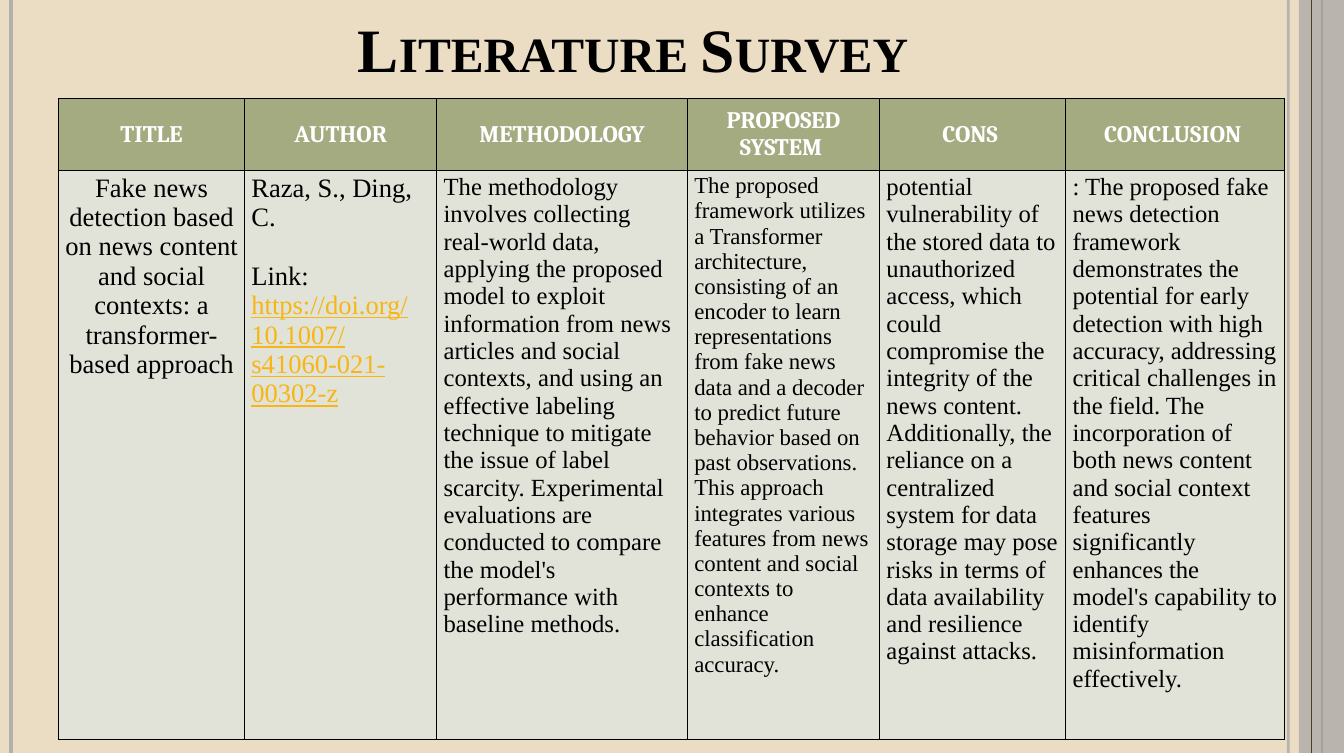
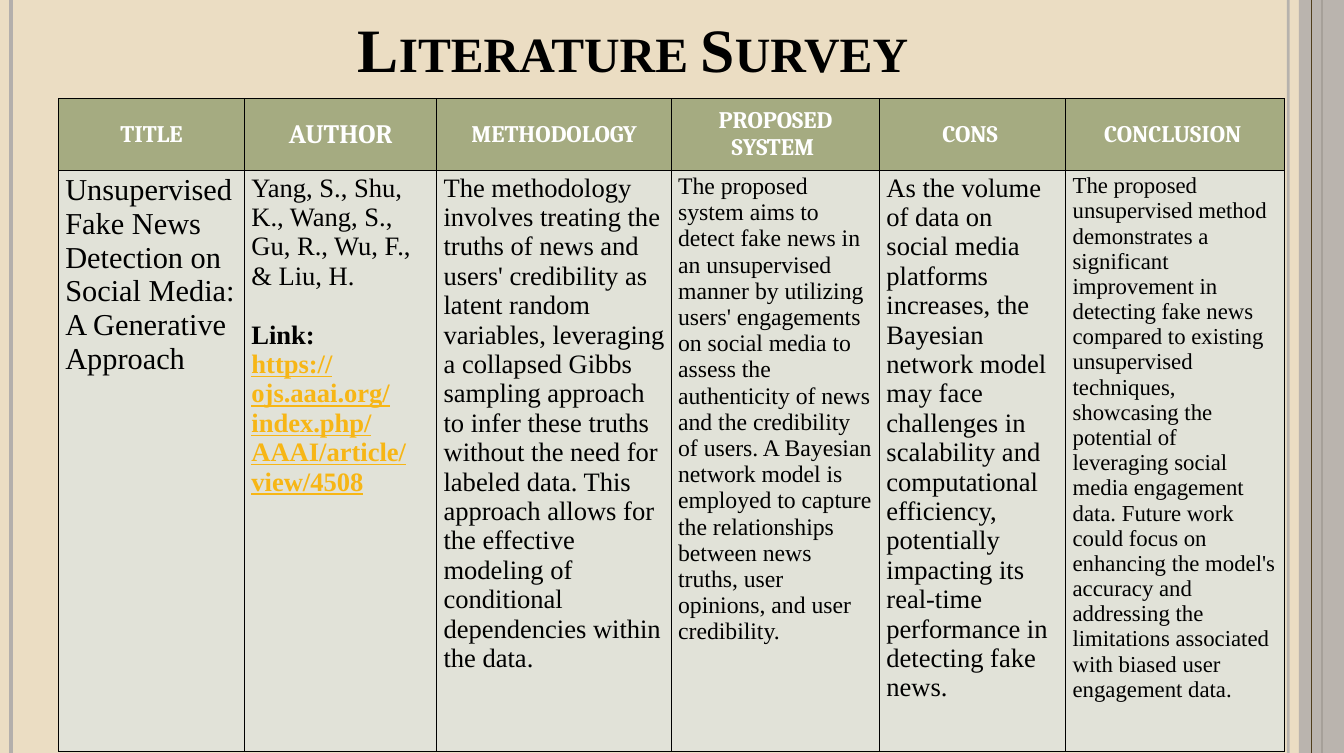
from lxml import etree
from pptx import Presentation
from pptx import util as u
from pptx.dml.color import RGBColor
from pptx.enum import shapes, text
from pptx.oxml import parse_xml
from pptx.oxml.ns import nsdecls, qn

PX = 9000  # a quarter of a millimetre, so the slide is 50 by 28 cm
WIDTH, HEIGHT = 2000, 1120

SAND, GREY, BROWN = "EBDDC3", "B3AFAC", "503D1A"
OLIVE, PALE = "A5AB81", "E1E2D8"
BLACK, WHITE, GOLD = "000000", "FFFFFF", "F7B615"
SERIF, HEADING = "Times New Roman", "Cambria"

HEADERS = ["TITLE", "AUTHOR", "METHODOLOGY", "PROPOSED SYSTEM ", "CONS ", "CONCLUSION "]
ROW_HEIGHTS = [106, 733]

# (x, colour, width in points, opacity in percent)
LEFT_LINES = [(1917, GREY, 3, 93), (16, GREY, 4.5, 100), (1967, BROWN, 1.5, 100)]
BAND_LINE = (1951, BROWN, 0.75, 100)
BAND_LEFT = 1933

LINK = dict(color=GOLD, underline=True)
AFTER_GAP = dict(before=31)

# Each body cell is a list of (text, format) paragraphs.
SURVEYS = [
    dict(
        widths=[277, 286, 373, 286, 277, 326],
        height=908,
        header_sizes=[25] * 6,
        cells=[
            [("Fake news detection based on news content and social contexts: "
              "a transformer-based approach", dict(size=28, align="CENTER"))],
            [("Raza, S., Ding, C.", dict(size=28)),
             ("Link:", dict(size=28, **AFTER_GAP)),
             ("https://doi.org/10.1007/s41060-021-00302-z", dict(size=28, **LINK))],
            [("The methodology involves collecting real-world data, applying the "
              "proposed model to exploit information from news articles and social "
              "contexts, and using an effective labeling technique to mitigate the "
              "issue of label scarcity. Experimental evaluations are conducted to "
              "compare the model's performance with baseline methods.", dict(size=26))],
            [("The proposed framework utilizes a Transformer architecture, consisting "
              "of an encoder to learn representations from fake news data and a decoder "
              "to predict future behavior based on past observations. This approach "
              "integrates various features from news content and social contexts to "
              "enhance classification accuracy.", dict(size=24))],
            [("potential vulnerability of the stored data to unauthorized access, which "
              "could compromise the integrity of the news content. Additionally, the "
              "reliance on a centralized system for data storage may pose risks in terms "
              "of data availability and resilience against attacks.", dict(size=26))],
            [(": The proposed fake news detection framework demonstrates the potential "
              "for early detection with high accuracy, addressing critical challenges in "
              "the field. The incorporation of both news content and social context "
              "features significantly enhances the model's capability to identify "
              "misinformation effectively.", dict(size=26))],
        ],
    ),
    dict(
        widths=[277, 286, 349, 310, 277, 326],
        height=922,
        header_sizes=[25, 28, 25, 25, 25, 25],
        cells=[
            [("Unsupervised Fake News Detection on Social Media: A Generative Approach",
              dict(size=32))],
            [("Yang, S., Shu, K., Wang, S., Gu, R., Wu, F., & Liu, H.", dict(size=28)),
             ("Link:", dict(size=28, bold=True, **AFTER_GAP)),
             ("https://ojs.aaai.org/index.php/AAAI/article/view/4508",
              dict(size=28, bold=True, **LINK))],
            [("The methodology involves treating the truths of news and users' "
              "credibility as latent random variables, leveraging a collapsed Gibbs "
              "sampling approach to infer these truths without the need for labeled "
              "data. This approach allows for the effective modeling of conditional "
              "dependencies within the data.", dict(size=28))],
            [("The proposed system aims to detect fake news in an unsupervised manner by "
              "utilizing users' engagements on social media to assess the authenticity "
              "of news and the credibility of users. A Bayesian network model is "
              "employed to capture the relationships between news truths, user "
              "opinions, and user credibility.", dict(size=25))],
            [("As the volume of data on social media platforms increases, the Bayesian "
              "network model may face challenges in scalability and computational "
              "efficiency, potentially impacting its real-time performance in detecting "
              "fake news.", dict(size=28))],
            [("The proposed unsupervised method demonstrates a significant improvement "
              "in detecting fake news compared to existing unsupervised techniques, "
              "showcasing the potential of leveraging social media engagement data. "
              "Future work could focus on enhancing the model's accuracy and addressing "
              "the limitations associated with biased user engagement data.",
              dict(size=24))],
        ],
    ),
]


def px(length):
    return u.Emu(length * PX)


def rgb(color):
    return RGBColor.from_string(color)


def set_opacity(shape, percent):
    for color in shape._element.spPr.iter(qn("a:srgbClr")):
        etree.SubElement(color, qn("a:alpha")).set("val", str(percent * 1000))


def write(paragraph, words, size, font=SERIF, color=BLACK, bold=False,
          underline=False, align="LEFT", before=0, small_caps=False):
    paragraph.alignment = text.PP_ALIGN[align]
    if before:
        paragraph.space_before = u.Pt(before)
    run = paragraph.add_run()
    run.text = words
    run.font.name = font
    run.font.size = u.Pt(size)
    run.font.bold = bold
    run.font.underline = underline
    run.font.color.rgb = rgb(color)
    if small_caps:
        run._r.get_or_add_rPr().set("cap", "small")


def add_vertical_line(slide, x, color, width, opacity):
    line = slide.shapes.add_connector(shapes.MSO_CONNECTOR.STRAIGHT,
                                      px(x), 0, px(x), px(HEIGHT))
    line.line.color.rgb = rgb(color)
    line.line.width = u.Pt(width)
    etree.SubElement(line._element.spPr, qn("a:effectLst"))
    if opacity < 100:
        set_opacity(line, opacity)


def add_backdrop(slide):
    """Sand background, vertical lines and the grey band on the right."""
    slide.background.fill.solid()
    slide.background.fill.fore_color.rgb = rgb(SAND)

    for line in LEFT_LINES:
        add_vertical_line(slide, *line)

    band = slide.shapes.add_shape(shapes.MSO_SHAPE.RECTANGLE, px(BAND_LEFT), 0,
                                  px(WIDTH - BAND_LEFT), px(HEIGHT))
    band.shadow.inherit = False
    band.fill.solid()
    band.fill.fore_color.rgb = rgb(GREY)
    band.line.fill.background()
    set_opacity(band, 87)
    add_vertical_line(slide, *BAND_LINE)


def add_title(slide, words, left, top, width, height):
    frame = slide.shapes.add_textbox(px(left), px(top), px(width), px(height)).text_frame
    frame.word_wrap = True
    frame.vertical_anchor = text.MSO_ANCHOR.BOTTOM
    frame.margin_left = frame.margin_right = px(18)
    frame.margin_top = frame.margin_bottom = px(9)
    write(frame.paragraphs[0], words, 65, bold=True, align="CENTER", small_caps=True)


def style_cell(cell, fill):
    properties = cell._tc.get_or_add_tcPr()
    for side in ("lnL", "lnR", "lnT", "lnB"):
        properties.append(parse_xml(
            f'<a:{side} {nsdecls("a")} w="12700"><a:solidFill>'
            f'<a:srgbClr val="{BLACK}"/></a:solidFill></a:{side}>'))
    cell.fill.solid()
    cell.fill.fore_color.rgb = rgb(fill)


def add_survey_table(slide, survey, left, top):
    widths = survey["widths"]
    holder = slide.shapes.add_table(2, len(widths), px(left), px(top),
                                    px(sum(widths)), px(survey["height"]))
    table = holder.table
    for row, height in zip(table.rows, ROW_HEIGHTS):
        row.height = px(height)
    # Setting rows shrinks the holder; the body text needs its full height.
    holder.height = px(survey["height"])

    for index, width in enumerate(widths):
        table.columns[index].width = px(width)

        header = table.cell(0, index)
        style_cell(header, OLIVE)
        header.vertical_anchor = text.MSO_ANCHOR.MIDDLE
        write(header.text_frame.paragraphs[0], HEADERS[index],
              survey["header_sizes"][index], font=HEADING, color=WHITE,
              bold=True, align="CENTER")

        body = table.cell(1, index)
        style_cell(body, PALE)
        frame = body.text_frame
        for number, (words, style) in enumerate(survey["cells"][index]):
            paragraph = frame.add_paragraph() if number else frame.paragraphs[0]
            write(paragraph, words, **style)


def add_survey_slide(presentation, survey):
    slide = presentation.slides.add_slide(presentation.slide_layouts[6])
    add_backdrop(slide)
    add_title(slide, "Literature Survey", 109, -6, 1666, 141)
    add_survey_table(slide, survey, 87, 147)


def main():
    presentation = Presentation()
    presentation.slide_width = px(WIDTH)
    presentation.slide_height = px(HEIGHT)
    for survey in SURVEYS:
        add_survey_slide(presentation, survey)
    presentation.save("out.pptx")


if __name__ == "__main__":
    main()
